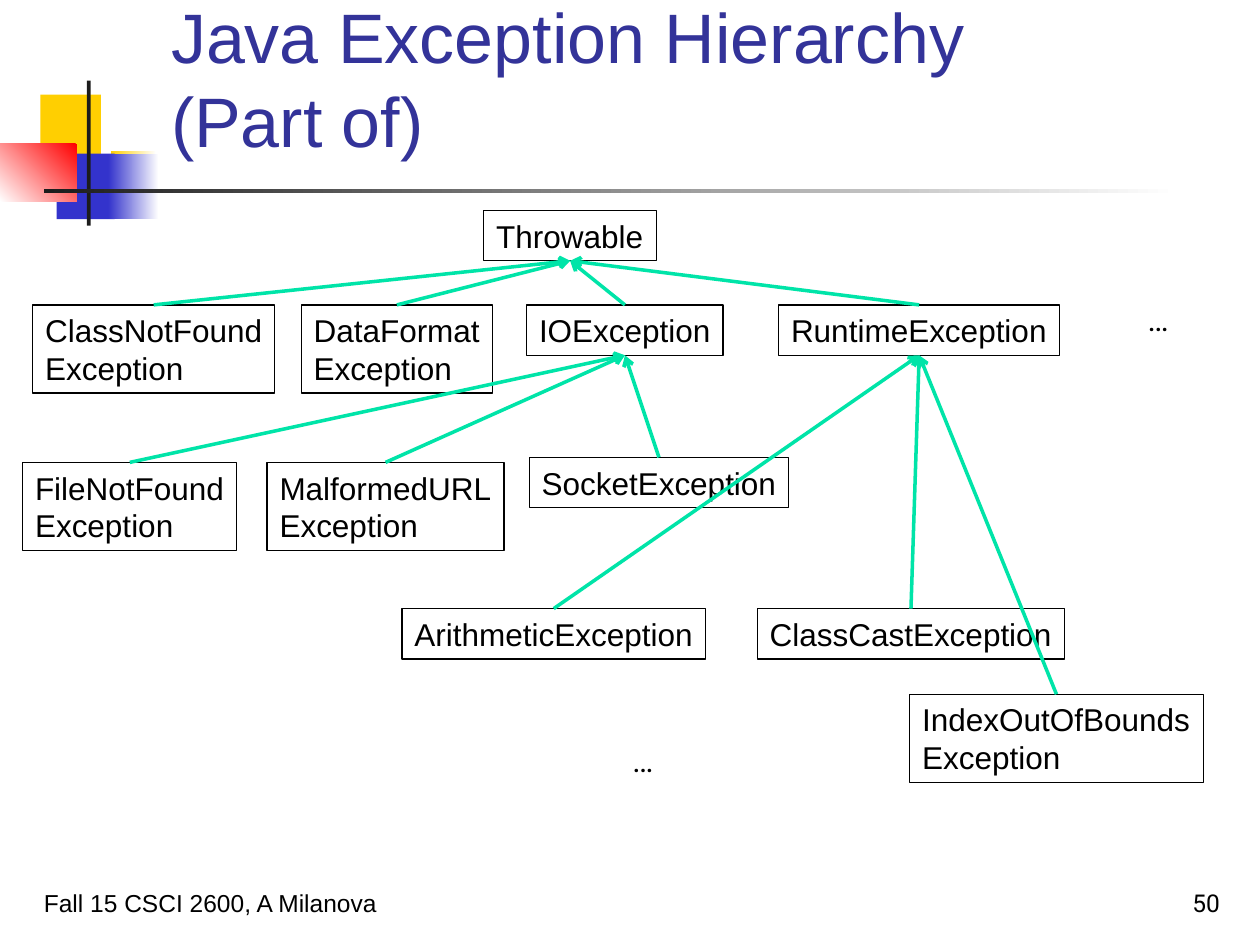
from lxml import etree
from pptx import Presentation
from pptx import util as u
from pptx.dml.color import RGBColor
from pptx.enum import shapes, text
from pptx.oxml.ns import qn

HEX = {"white": "FFFFFF", "black": "000000", "gold": "FFCF01",
       "blue": "3333CC", "red": "FF0000", "dark": "1C1C1C",
       "title": "333399", "link": "00E4A8"}
RECT = shapes.MSO_SHAPE.RECTANGLE
ONE, TWO = 0.4, 0.7  # heights of boxes with one and two lines

# name: (left, top, width, height, label, parent)
TREE = {
    "throw": (3.84, 1.67, 1.37, ONE, "Throwable", None),
    "class": (0.26, 2.42, 1.92, TWO, "ClassNotFound\nException", "throw"),
    "data": (2.39, 2.42, 1.52, TWO, "DataFormat\nException", "throw"),
    "io": (4.18, 2.42, 1.56, ONE, "IOException", "throw"),
    "run": (6.18, 2.42, 2.23, ONE, "RuntimeException", "throw"),
    "file": (0.18, 3.67, 1.7, TWO, "FileNotFound\nException", "io"),
    "url": (2.12, 3.67, 1.88, TWO, "MalformedURL\nException", "io"),
    "socket": (4.2, 3.63, 2.06, ONE, "SocketException", "io"),
    "math": (3.19, 4.83, 2.41, ONE, "ArithmeticException", "run"),
    "cast": (6.01, 4.83, 2.44, ONE, "ClassCastException", "run"),
    "index": (7.22, 5.51, 2.33, TWO, "IndexOutOfBounds\nException", "run"),
}
DOTS = [(9.01, 2.33), (4.92, 5.83)]


def rgb(name):
    return RGBColor.from_string(HEX[name])


def place(left, top, box):
    """Shift a box by the corner of its region and give it in inches."""
    x, y, wide, high = box
    return [u.Inches(v) for v in (left + x, top + y, wide, high)]


def write(shape, words, size, font="Arial", color="black",
          anchor=text.MSO_ANCHOR.TOP, align=text.PP_ALIGN.LEFT, wrap=True):
    frame = shape.text_frame
    frame.word_wrap = wrap
    frame.vertical_anchor = anchor
    if not wrap:
        frame.auto_size = text.MSO_AUTO_SIZE.SHAPE_TO_FIT_TEXT
    para = frame.paragraphs[0]
    para.text = words
    para.alignment = align
    para.font.size = u.Pt(size)
    para.font.name = font
    para.font.color.rgb = rgb(color)


def block(slide, box, first, last=None, angle=180):
    """Draw a bare rectangle, plain or fading from first to last."""
    shape = slide.shapes.add_shape(RECT, *box)
    shape.shadow.inherit = False
    shape.line.fill.background()
    if last is None:
        shape.fill.solid()
        shape.fill.fore_color.rgb = rgb(first)
        return
    shape.fill.gradient()
    shape.fill.gradient_angle = angle
    for stop, name in zip(shape.fill.gradient_stops, (first, last)):
        stop.color.rgb = rgb(name)


def motif(slide, left, top):
    parts = [
        ((0.32, 0.11, 0.48, 0.52), "gold"),
        ((0.88, 0.56, 0.36, 0.52), "white", "gold"),
        ((0.45, 0.58, 0.46, 0.52), "blue"),
        ((0.86, 0.58, 0.4, 0.52), "white", "blue"),
        ((0, 0.5, 0.61, 0.46), "red", "white", 225),
        ((0.69, 0, 0.03, 1.15), "dark"),
        ((0.35, 0.86, 9, 0.03), "white", "dark"),
    ]
    for box, *fill in parts:
        block(slide, place(left, top, box), *fill)


def head(slide, left, top, wide, high):
    box = slide.shapes.add_textbox(*place(left, top, (0, 0, wide, high)))
    write(box, "Java Exception Hierarchy\n(Part of)", 40, color="title",
          anchor=text.MSO_ANCHOR.BOTTOM)


def foot(slide, left, top, wide, high):
    page = 2.08
    parts = [
        ((0, 0, 5.17, high), "Fall 15 CSCI 2600, A Milanova", "Arial",
         text.PP_ALIGN.LEFT),
        ((wide - page, 0, page, high), "50", "Roboto", text.PP_ALIGN.RIGHT),
    ]
    for box, words, font, align in parts:
        shape = slide.shapes.add_textbox(*place(left, top, box))
        write(shape, words, 14, font, anchor=text.MSO_ANCHOR.BOTTOM,
              align=align)


def node(slide, box, words):
    shape = slide.shapes.add_shape(RECT, *box)
    shape.shadow.inherit = False
    shape.fill.background()
    shape.line.color.rgb = rgb("black")
    shape.line.width = u.Pt(0.75)
    write(shape, words, 18, wrap=False)
    # A slim right inset leaves each label room on its line
    shape.text_frame.margin_right = u.Inches(0.05)
    return shape


def link(slide, child, parent):
    """Point an arrow from the top of child to the bottom of parent."""
    line = slide.shapes.add_connector(shapes.MSO_CONNECTOR.STRAIGHT, 0, 0, 0, 0)
    line.begin_connect(child, 0)
    line.end_connect(parent, 2)
    line.line.color.rgb = rgb("link")
    line.line.width = u.Pt(2)
    etree.SubElement(line.line._get_or_add_ln(), qn("a:tailEnd"), type="arrow")
    etree.SubElement(line._element.spPr, qn("a:effectLst"))


def tree(slide, left, top):
    nodes = {name: node(slide, place(left, top, box), words)
             for name, (*box, words, _) in TREE.items()}
    for x, y in DOTS:
        dots = slide.shapes.add_textbox(*place(left, top, (x, y, 0.4, ONE)))
        write(dots, "…", 18, "Roboto", wrap=False)
    for name, (*_, parent) in TREE.items():
        if parent:
            link(slide, nodes[name], nodes[parent])


def main():
    deck = Presentation()
    deck.slide_width, deck.slide_height = u.Inches(10), u.Inches(7.5)
    slide = deck.slides.add_slide(deck.slide_layouts[6])
    motif(slide, 0, 0.64)
    head(slide, 1.26, 0.23, 8.52, 1.1)
    foot(slide, 0.25, 6.83, 9.53, 0.5)
    tree(slide, 0, 0)
    deck.save("out.pptx")


if __name__ == "__main__":
    main()
